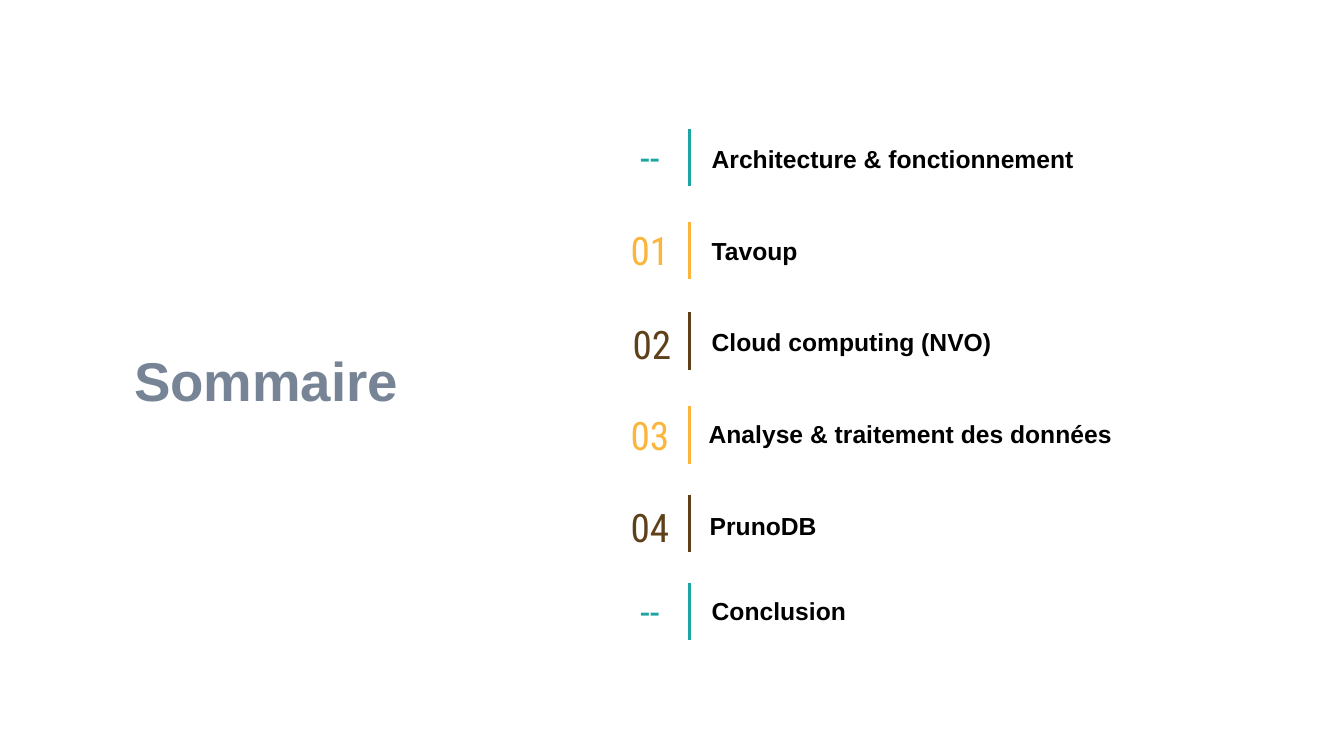
from lxml import etree
from pptx import Presentation
from pptx.dml.color import RGBColor
from pptx.enum.shapes import MSO_CONNECTOR
from pptx.enum.text import MSO_ANCHOR, MSO_AUTO_SIZE, PP_ALIGN
from pptx.oxml.ns import qn
from pptx.util import Inches, Pt

TEAL = RGBColor(0x1D, 0xA5, 0xA1)
AMBER = RGBColor(0xFC, 0xB5, 0x3C)
BROWN = RGBColor(0x5E, 0x41, 0x1A)
SLATE = RGBColor(0x77, 0x84, 0x95)
BLACK = RGBColor(0, 0, 0)

BAR_X = 6.84
BAR_HEIGHT = 0.57
NUMBER_SIZE = (0.55, 0.5)
LABEL_SIZE = (3.95, 0.38)


def write_text(shape, text, *, size, color, font="Arial", bold=False,
               align=PP_ALIGN.LEFT, anchor=MSO_ANCHOR.MIDDLE, margins=(0.1, 0.05),
               line_spacing=None):
    frame = shape.text_frame
    frame.auto_size = MSO_AUTO_SIZE.NONE
    frame.word_wrap = False
    frame.vertical_anchor = anchor
    frame.margin_left = frame.margin_right = Inches(margins[0])
    frame.margin_top = frame.margin_bottom = Inches(margins[1])
    paragraph = frame.paragraphs[0]
    paragraph.alignment = align
    paragraph.line_spacing = line_spacing
    run = paragraph.add_run()
    run.text = text
    run.font.name = font
    run.font.size = Pt(size)
    run.font.bold = bold
    run.font.color.rgb = color


presentation = Presentation()
presentation.slide_width = Inches(13.33)
presentation.slide_height = Inches(7.5)
slide = presentation.slides.add_slide(presentation.slide_layouts[5])

title = slide.shapes.title
title.left, title.top = Inches(1.23), Inches(3.45)
title.width, title.height = Inches(3.73), Inches(0.72)
write_text(title, "Sommaire", size=39, color=SLATE, bold=True, line_spacing=0.9)

# number, label, colour, bar top, number left and top, label left and top
entries = [
    ("--", "Architecture & fonctionnement", TEAL, 1.28, (6.17, 1.31), (6.96, 1.39)),
    ("01", "Tavoup", AMBER, 2.2, (6.17, 2.23), (6.96, 2.3)),
    ("02", "Cloud computing (NVO)", BROWN, 3.1, (6.19, 3.16), (6.96, 3.21)),
    ("03", "Analyse & traitement des données", AMBER, 4.03, (6.17, 4.06), (6.93, 4.12)),
    ("04", "PrunoDB", BROWN, 4.91, (6.17, 4.98), (6.94, 5.03)),
    ("--", "Conclusion", TEAL, 5.78, (6.17, 5.81), (6.96, 5.87)),
]

for number, label, color, bar_top, number_at, label_at in entries:
    number_box = slide.shapes.add_textbox(*map(Inches, number_at + NUMBER_SIZE))
    write_text(number_box, number, size=28, color=color, font="Roboto Condensed",
               align=PP_ALIGN.CENTER, margins=(0, 0))

    bar = slide.shapes.add_connector(
        MSO_CONNECTOR.STRAIGHT, Inches(BAR_X), Inches(bar_top),
        Inches(BAR_X), Inches(bar_top + BAR_HEIGHT))
    bar.line.color.rgb = color
    bar.line.width = Pt(2.25)
    etree.SubElement(bar.element.spPr, qn("a:effectLst"))

    label_box = slide.shapes.add_textbox(*map(Inches, label_at + LABEL_SIZE))
    write_text(label_box, label, size=17.6, color=BLACK, bold=True,
               anchor=MSO_ANCHOR.BOTTOM)

presentation.save("out.pptx")
